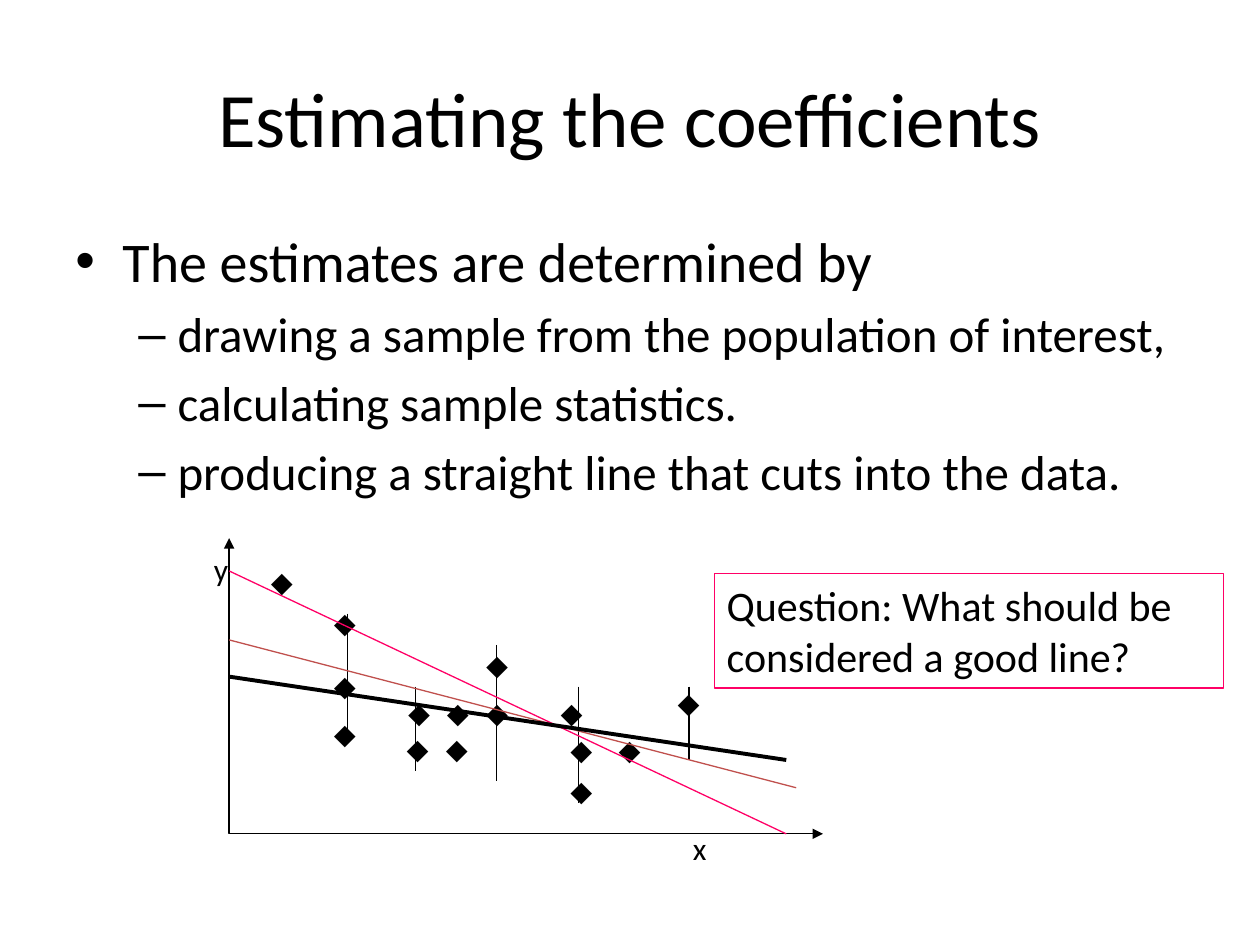
"""Build the slide on estimating regression coefficients."""
from dataclasses import dataclass

from lxml.etree import SubElement
from pptx import Presentation
from pptx.dml.color import RGBColor as RGB
from pptx.enum.shapes import MSO_CONNECTOR as CONNECTOR, MSO_SHAPE as SHAPE
from pptx.enum.text import MSO_ANCHOR as ANCHOR, MSO_AUTO_SIZE as AUTO, PP_ALIGN as ALIGN
from pptx.oxml.ns import qn
from pptx.util import Cm, Pt


@dataclass(frozen=True)
class Theme:
    ink: RGB = RGB(0x00, 0x00, 0x00)
    paper: RGB = RGB(0xFF, 0xFF, 0xFF)
    pink: RGB = RGB(0xFF, 0x00, 0x66)
    red: RGB = RGB(0xC0, 0x50, 0x4D)
    text_font: str = "Calibri"
    symbol_font: str = "Arial"
    title: int = 44
    body: int = 32
    sub: int = 28
    question: int = 24
    label: int = 18
    thin: float = 0.75
    thick: float = 2.25


theme = Theme()


def style(p, size, font=theme.text_font):
    for r in p.runs:
        r.font.size, r.font.name = Pt(size), font
        r.font.color.rgb = theme.ink


def add_line(x1, y1, x2, y2, color=theme.ink, width=theme.thin):
    line = s.shapes.add_connector(CONNECTOR.STRAIGHT, Cm(x1), Cm(y1), Cm(x2), Cm(y2))
    line.line.color.rgb, line.line.width = color, Pt(width)
    SubElement(line._element.spPr, qn("a:effectLst"))


prs = Presentation()
prs.slide_width, prs.slide_height = Cm(25.4), Cm(19.05)
s = prs.slides.add_slide(prs.slide_layouts[5])

title = s.shapes.title
title.left, title.top, title.width, title.height = Cm(1.27), Cm(0.76), Cm(22.86), Cm(3.18)
title.text_frame.text = "Estimating the coefficients"
title.text_frame.vertical_anchor = ANCHOR.MIDDLE
p = title.text_frame.paragraphs[0]
p.alignment = ALIGN.CENTER
style(p, theme.title)

body = [
    (0, "The estimates are determined by"),
    (1, "drawing a sample from the population of interest,"),
    (1, "calculating sample statistics."),
    (1, "producing a straight line that cuts into the data."),
]
levels = [("•", 0.95, -0.95, theme.body), ("–", 2.06, -0.79, theme.sub)]
sp = s.shapes.add_textbox(Cm(1.27), Cm(4.45), Cm(22.86), Cm(12.57))
tf = sp.text_frame
tf.word_wrap = True
for i, (level, text) in enumerate(body):
    bullet, margin, indent, size = levels[level]
    p = tf.add_paragraph() if i else tf.paragraphs[0]
    p.text, p.level = text, level
    p.space_before = Pt(0.2 * size if i else 0)
    pPr = p._p.get_or_add_pPr()
    pPr.set("marL", str(Cm(margin)))
    pPr.set("indent", str(Cm(indent)))
    SubElement(pPr, qn("a:buFont"), typeface=theme.symbol_font)
    SubElement(pPr, qn("a:buChar"), char=bullet)
    style(p, size)

builder = s.shapes.build_freeform(Cm(4.62), Cm(10.85))
builder.add_line_segments([(Cm(4.62), Cm(16.81)), (Cm(16.59), Cm(16.81))], close=False)
axes = builder.convert_to_shape()
axes.shadow.inherit = False
axes.fill.background()
axes.line.color.rgb, axes.line.width = theme.ink, Pt(theme.thin)
for end in ("a:headEnd", "a:tailEnd"):
    SubElement(axes.line._get_or_add_ln(), qn(end), type="triangle")

marker_rows = [
    (11.2, [5.21]),
    (12.04, [6.48]),
    (13.31, [6.48]),
    (14.27, [6.48]),
    (13.84, [7.98, 8.76, 9.55, 11.05]),
    (12.88, [9.55]),
    (14.6, [11.25, 12.22]),
    (13.64, [13.41]),
    (14.58, [7.95, 8.74]),
    (15.42, [11.25]),
]
markers = [("⬥", x, y, 0.89, theme.symbol_font) for y, row in marker_rows for x in row]
axis_names = [("x", 13.72, 16.59, 0.76, theme.text_font), ("y", 4.06, 10.97, 0.76, theme.text_font)]
for text, x, y, width, font in markers + axis_names:
    sp = s.shapes.add_textbox(Cm(x), Cm(y), Cm(width), Cm(1.02))
    tf = sp.text_frame
    tf.text = text
    tf.word_wrap, tf.auto_size = False, AUTO.SHAPE_TO_FIT_TEXT
    style(tf.paragraphs[0], theme.label, font)

residuals = [
    (7.01, 12.37, 14.91),
    (8.38, 13.84, 15.54),
    (10.01, 13, 15.75),
    (11.66, 13.84, 16.18),
    (13.89, 13.84, 15.32),
]
for x, top, bottom in residuals:
    add_line(x, top, x, bottom)

add_line(4.62, 12.9, 16.05, 15.88, theme.red)
add_line(4.62, 11.51, 15.85, 16.81, theme.pink)
add_line(4.62, 13.64, 15.85, 15.32, theme.ink, theme.thick)

question = s.shapes.add_shape(SHAPE.RECTANGLE, Cm(14.4), Cm(11.56), Cm(10.26), Cm(2.31))
question.shadow.inherit = False
question.fill.solid()
question.fill.fore_color.rgb = theme.paper
question.line.color.rgb, question.line.width = theme.pink, Pt(theme.thin)
tf = question.text_frame
tf.word_wrap, tf.auto_size = True, AUTO.SHAPE_TO_FIT_TEXT
tf.vertical_anchor = ANCHOR.TOP
p = tf.paragraphs[0]
p.text = "Question: What should be \vconsidered a good line?"
p.alignment = ALIGN.LEFT
style(p, theme.question)

prs.save("out.pptx")
